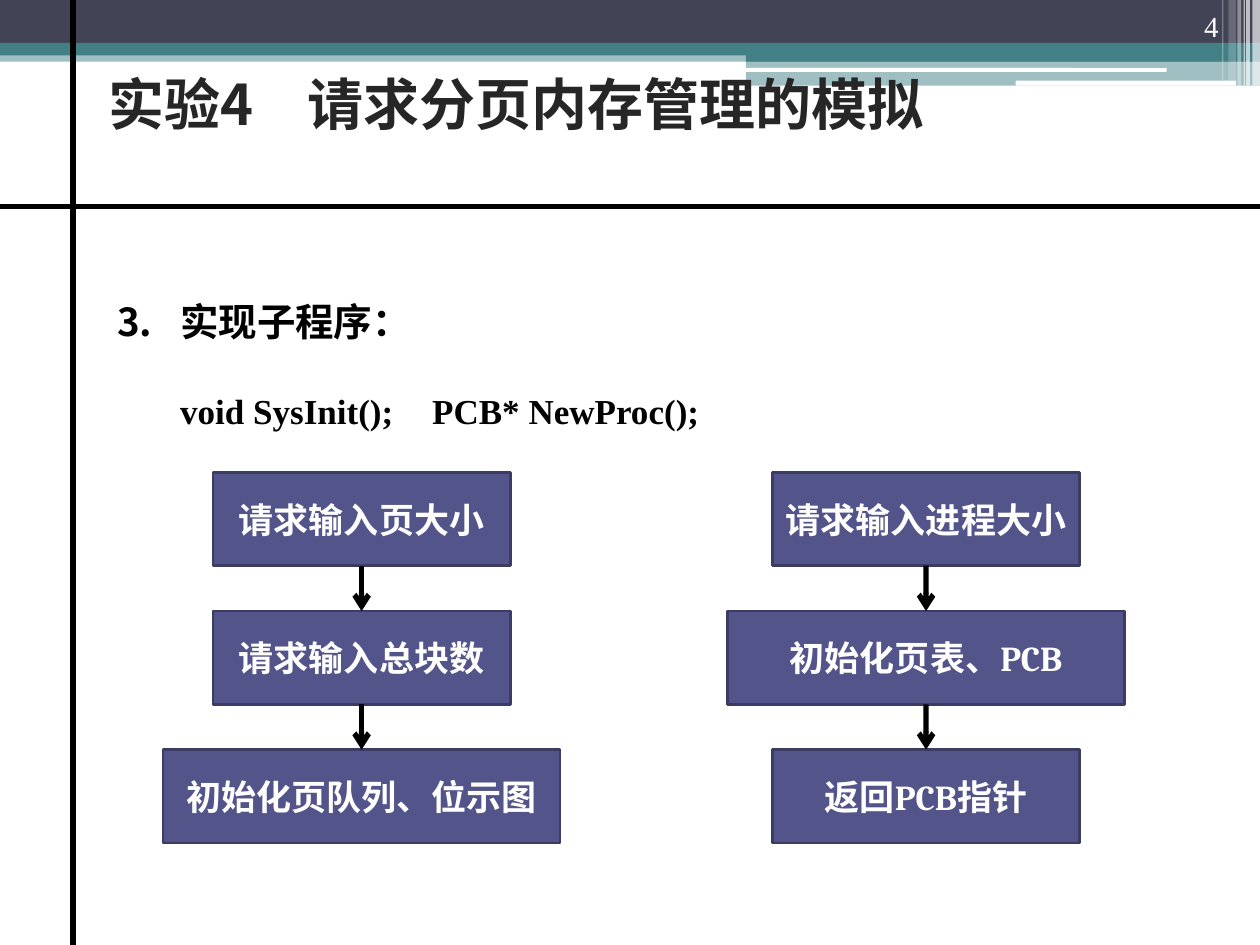
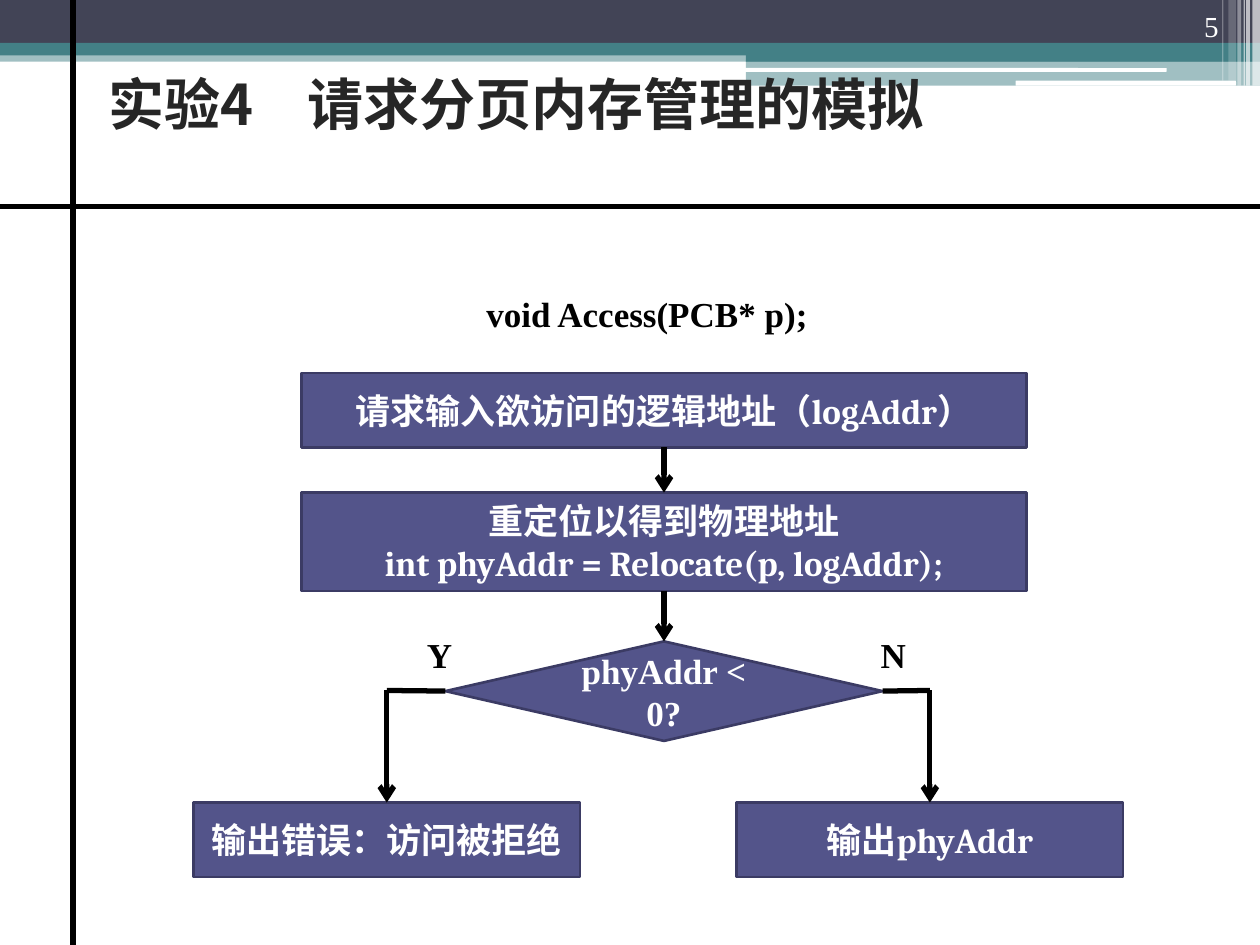
from lxml.etree import SubElement as Sub
from pptx import Presentation
from pptx.dml.color import RGBColor as Rgb
from pptx.enum.shapes import MSO_CONNECTOR as Wire, MSO_SHAPE as Form
from pptx.enum.text import MSO_ANCHOR as Anchor, MSO_AUTO_SIZE as Auto, PP_ALIGN as Align
from pptx.oxml.ns import qn
from pptx.util import Inches, Pt

INK = {"black": "000000", "white": "FFFFFF", "title": "262626", "navy": "424456",
       "teal": "438086", "box": "53548A", "edge": "3B3B64"}
SANS, SERIF, ROMAN = "Noto Sans CJK JP", "Cambria", "Times New Roman"


def style(shape, size, face, ink, align, bold=True):
    for para in shape.text_frame.paragraphs:
        para.alignment = align
        for run in para.runs:
            run.font.size, run.font.name, run.font.bold = Pt(size), face, bold
            run.font.color.rgb = Rgb.from_string(INK[ink])
    for prop in shape.element.iter(qn("a:rPr")):
        Sub(prop, qn("a:ea"), typeface=SANS)


def draw(slide, x1, y1, x2, y2, arrow=False):
    wire = slide.shapes.add_connector(Wire.STRAIGHT, *map(Inches, (x1, y1, x2, y2)))
    wire.line.color.rgb = Rgb.from_string(INK["black"])
    wire.line.width = Pt(3)
    if arrow:
        Sub(wire.line._get_or_add_ln(), qn("a:tailEnd"), type="arrow")
    Sub(wire.element.spPr, qn("a:effectLst"))
    return wire


deck = Presentation()
deck.slide_width, deck.slide_height = Inches(10), Inches(7.5)
layout = deck.slide_layouts[1]
slides = [deck.slides.add_slide(layout) for _ in range(2)]

bands = [
    (Form.RECTANGLE, 0, 0.4, 10, 0.09, "teal", 50),
    (Form.RECTANGLE, 0, 0, 10, 0.34, "navy", 100),
    (Form.RECTANGLE, 0, 0.34, 10, 0.1, "teal", 100),
    (Form.RECTANGLE, 5.92, 0.39, 4.08, 0.1, "teal", 100),
    (Form.RECTANGLE, 5.92, 0.48, 4.08, 0.2, "teal", 50),
    (Form.ROUNDED_RECTANGLE, 5.91, 0.54, 3.35, 0.03, "white", 100),
    (Form.ROUNDED_RECTANGLE, 8.06, 0.64, 1.75, 0.04, "white", 100),
    (Form.RECTANGLE, 9.94, 0, 0.06, 0.68, "white", 65),
    (Form.RECTANGLE, 9.89, 0, 0.03, 0.68, "white", 65),
    (Form.RECTANGLE, 9.87, 0, 0.01, 0.68, "white", 60),
    (Form.RECTANGLE, 9.82, 0, 0.03, 0.68, "white", 40),
    (Form.RECTANGLE, 9.75, 0, 0.06, 0.64, "white", 20),
    (Form.RECTANGLE, 9.7, 0, 0.01, 0.64, "white", 30),
]
tree = deck.slide_master.shapes.element
for i, (form, x, y, w, h, ink, alpha) in enumerate(bands):
    band = slides[0].shapes.add_shape(form, *map(Inches, (x, y, w, h)))
    band.shadow.inherit = False
    band.fill.solid()
    band.fill.fore_color.rgb = Rgb.from_string(INK[ink])
    band.line.fill.background()
    if alpha < 100:
        tint = next(band.element.spPr.iter(qn("a:srgbClr")))
        Sub(tint, qn("a:alpha"), val=str(alpha * 1000))
    band.element.nvSpPr.cNvPr.set("id", str(100 + i))
    tree.insert(2 + i, band.element)

bodies = [
    (0.83, 2.1, "实现子程序：\n\tvoid SysInit();\tPCB* NewProc();", Align.JUSTIFY),
    (0.75, 2.02, "void Access(PCB* p);", Align.CENTER),
]
for page, (slide, (x, y, text, align)) in enumerate(zip(slides, bodies), 4):
    title = slide.shapes.title
    title.left, title.top, title.width, title.height = map(Inches, (0.75, 0.56, 8.82, 0.59))
    frame = title.text_frame
    frame.text = "实验4\t请求分页内存管理的模拟"
    frame.margin_left = frame.margin_right = Inches(0.11)
    frame.vertical_anchor = Anchor.TOP
    frame.auto_size = Auto.SHAPE_TO_FIT_TEXT
    frame.paragraphs[0].line_spacing = 0.9
    style(title, 32, SANS, "title", Align.LEFT)
    tabs = Sub(next(title.element.iter(qn("a:pPr"))), qn("a:tabLst"))
    Sub(tabs, qn("a:tab"), pos=str(Inches(1.58)), algn="l")

    body = slide.placeholders[1]
    body.left, body.top, body.width, body.height = map(Inches, (x, y, 8.58, 4.49))
    body.text_frame.text = text
    body.text_frame.auto_size = Auto.NONE
    style(body, 20, ROMAN, "black", align)
    for para in body.text_frame.paragraphs:
        para.line_spacing, para.space_before = Pt(42), Pt(7.5)

    num = slide.shapes.add_textbox(*map(Inches, (8.94, 0, 0.83, 0.4)))
    num.text_frame.text = str(page)
    num.text_frame.word_wrap = True
    num.text_frame.vertical_anchor = Anchor.BOTTOM
    num.text_frame.paragraphs[0].line_spacing = 0.9
    style(num, 16.6, ROMAN, "white", Align.RIGHT, False)

    draw(slide, 0, 1.64, 10, 1.64)
    draw(slide, 0.58, 0, 0.58, 7.5)

body = slides[0].placeholders[1]
head = body.text_frame.paragraphs[0]
head.space_before = Pt(8.2)
head.runs[0].font.size = Pt(22)
first, calls = body.element.iter(qn("a:pPr"))
first.set("marL", str(Inches(0.5)))
first.set("indent", str(Inches(-0.5)))
Sub(first, qn("a:buFont"), typeface=SANS)
Sub(first, qn("a:buAutoNum"), type="arabicPeriod", startAt="3")
access = next(slides[1].placeholders[1].element.iter(qn("a:pPr")))
for prop, left in ((calls, 0), (access, 0.19)):
    prop.set("marL", str(Inches(left)))
    prop.set("indent", "0")
    Sub(prop, qn("a:buNone"))
tabs = Sub(calls, qn("a:tabLst"))
for pos in (0.83, 5.84):
    Sub(tabs, qn("a:tab"), pos=str(Inches(pos)), algn="l")

rows = [3.75 + 1.1 * i for i in range(3)]
boxes = {
    "size": (0, 2.87, rows[0], 2.36, 0.74, "请求输入页大小"),
    "count": (0, 2.87, rows[1], 2.36, 0.74, "请求输入总块数"),
    "queue": (0, 2.87, rows[2], 3.15, 0.74, "初始化页队列、位示图"),
    "proc": (0, 7.35, rows[0], 2.44, 0.74, "请求输入进程大小"),
    "table": (0, 7.35, rows[1], 3.15, 0.74, "初始化页表、PCB"),
    "return": (0, 7.35, rows[2], 2.44, 0.74, "返回PCB指针"),
    "ask": (1, 5.27, 2.96, 5.75, 0.59, "请求输入欲访问的逻辑地址（logAddr）"),
    "map": (1, 5.27, 3.91, 5.75, 0.78,
            "重定位以得到物理地址\nint phyAddr = Relocate(p, logAddr);"),
    "test": (1, 5.27, 5.09, 3.47, 0.79, "phyAddr < 0?"),
    "error": (1, 3.07, 6.37, 3.07, 0.59, "输出错误：访问被拒绝"),
    "result": (1, 7.38, 6.37, 3.07, 0.59, "输出phyAddr"),
}
nodes = {}
for name, (index, mid, y, w, h, text) in boxes.items():
    form, face = (Form.DIAMOND, ROMAN) if name == "test" else (Form.RECTANGLE, SERIF)
    box = slides[index].shapes.add_shape(form, *map(Inches, (mid - w / 2, y, w, h)))
    box.shadow.inherit = False
    box.fill.solid()
    box.fill.fore_color.rgb = Rgb.from_string(INK["box"])
    box.line.color.rgb = Rgb.from_string(INK["edge"])
    box.line.width = Pt(1.5)
    box.text_frame.text = text
    box.text_frame.word_wrap = True
    box.text_frame.vertical_anchor = Anchor.MIDDLE
    style(box, 20, face, "white", Align.CENTER)
    nodes[name] = box

for chain in (("size", "count", "queue"), ("proc", "table", "return"), ("ask", "map", "test")):
    for start, end in zip(chain, chain[1:]):
        wire = draw(slides[boxes[start][0]], 0, 0, 1, 1, True)
        wire.begin_connect(nodes[start], 2)
        wire.end_connect(nodes[end], 0)

for mark, end, site, side, x in (("Y", "error", 1, 3.53, 3.29), ("N", "result", 3, 7, 6.89)):
    mid = boxes[end][1]
    draw(slides[1], side, 5.48, mid, 5.48).begin_connect(nodes["test"], site)
    draw(slides[1], mid, 5.48, mid, 6.37, True).end_connect(nodes[end], 0)
    label = slides[1].shapes.add_textbox(*map(Inches, (x, 4.98, 0.4, 0.44)))
    label.text_frame.text = mark
    label.text_frame.word_wrap = False
    label.text_frame.auto_size = Auto.SHAPE_TO_FIT_TEXT
    style(label, 20, ROMAN, "black", Align.LEFT)

deck.save("out.pptx")
